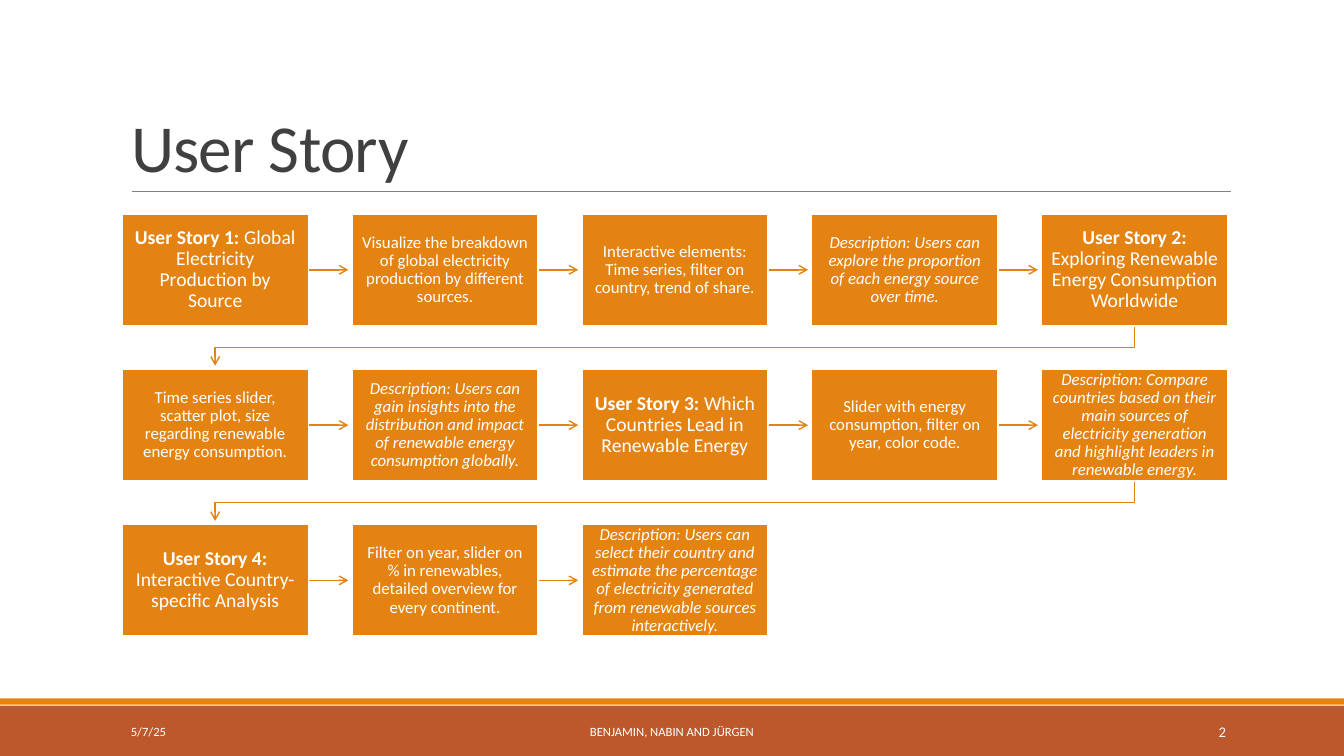
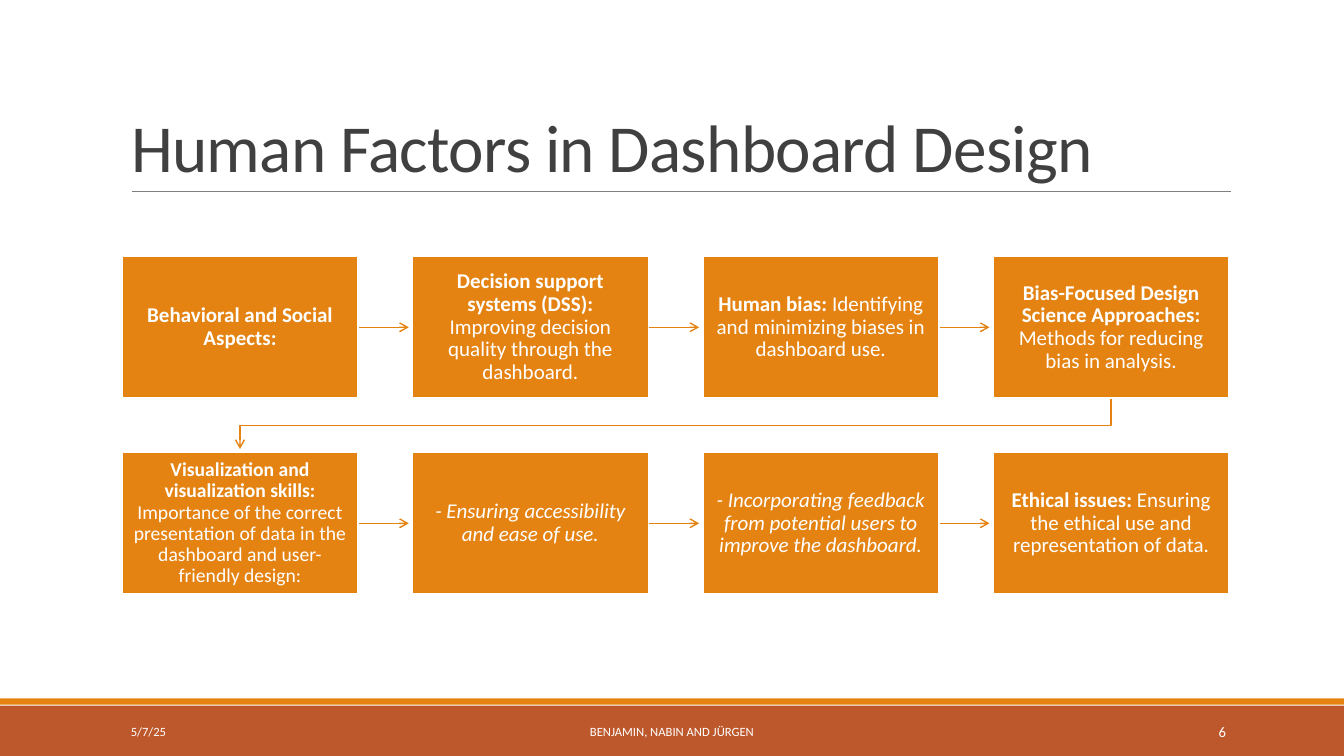
from collections import namedtuple

from lxml import etree
from pptx import Presentation
from pptx import util as u
from pptx.dml.color import RGBColor
from pptx.enum import shapes, text
from pptx.oxml import ns

Pt = u.Pt
ORANGE = RGBColor(0xE4, 0x83, 0x12)
RUST = RGBColor(0xBD, 0x58, 0x2C)
GRAY = RGBColor(0x80, 0x80, 0x80)
CHARCOAL = RGBColor(0x40, 0x40, 0x40)
WHITE = RGBColor(0xFF, 0xFF, 0xFF)

Step = namedtuple("Step", "text size lead italic", defaults=("", False))
Grid = namedtuple("Grid", "columns left top width height pitch_x pitch_y inset_x inset_y")

STORY_GRID = Grid(5, 87.1, 152.8, 133.2, 79.9, 164.2, 110.9, 6.5, 7)
STORY_STEPS = [
    Step("Global Electricity Production by Source", 14, "User Story 1: "),
    Step("Visualize the breakdown of global electricity production by different sources.", 12),
    Step("Interactive elements: Time series, filter on country, trend of share.", 12),
    Step("Description: Users can explore the proportion of each energy source over time.",
         12, italic=True),
    Step("Exploring Renewable Energy Consumption Worldwide", 14, "User Story 2: "),
    Step("Time series slider, scatter plot, size regarding renewable energy consumption.", 12),
    Step("Description: Users can gain insights into the distribution and impact of "
         "renewable energy consumption globally.", 12, italic=True),
    Step("Which Countries Lead in Renewable Energy", 14, "User Story 3: "),
    Step("Slider with energy consumption, filter on year, color code.", 12),
    Step("Description: Compare countries based on their main sources of electricity "
         "generation and highlight leaders in renewable energy.", 12, italic=True),
    Step("Interactive Country-specific Analysis", 14, "User Story 4: "),
    Step("Filter on year, slider on % in renewables, detailed overview for every continent.", 12),
    Step("Description: Users can select their country and estimate the percentage of "
         "electricity generated from renewable sources interactively.", 12, italic=True),
]

FACTOR_GRID = Grid(4, 87.1, 183.2, 168.7, 101.2, 207.4, 140, 8, 8.6)
FACTOR_STEPS = [
    Step("", 15, "Behavioral and Social Aspects:"),
    Step("Improving decision quality through the dashboard.", 15,
         "Decision support systems (DSS): "),
    Step("Identifying and minimizing biases in dashboard use.", 15, "Human bias: "),
    Step("Methods for reducing bias in analysis.", 15,
         "Bias-Focused Design Science Approaches: "),
    Step("Importance of the correct presentation of data in the dashboard and "
         "user-friendly design:", 14, "Visualization and visualization skills: "),
    Step("- Ensuring accessibility and ease of use.", 15, italic=True),
    Step("- Incorporating feedback from potential users to improve the dashboard.",
         15, italic=True),
    Step("Ensuring the ethical use and representation of data.", 15, "Ethical issues: "),
]


class Slides:
    """Builds slides in one shared style."""

    font = "Calibri"
    arrow_clearance = 2.5

    def __init__(self):
        self.deck = Presentation()
        self.deck.slide_width, self.deck.slide_height = Pt(960), Pt(540)
        self.page = None

    def start(self, title, number):
        self.page = self.deck.slides.add_slide(self.deck.slide_layouts[5])
        self.band(504, 36, RUST)
        self.band(498.8, 4.6, ORANGE)
        self.line(94.3, 136.8, 879.1, 136.8, GRAY, 0.5)
        self.title(title)
        self.label("5/7/25", 86.4, 194.4, 9, text.PP_ALIGN.LEFT)
        self.label("BENJAMIN, NABIN AND JÜRGEN", 290.2, 379.4, 9, text.PP_ALIGN.CENTER)
        self.label(number, 779.8, 103, 10.5, text.PP_ALIGN.RIGHT)

    def style(self, para, size, color, align):
        para.alignment = align
        para.font.name = self.font
        para.font.size = Pt(size)
        para.font.color.rgb = color

    def title(self, wording):
        box = self.page.shapes.title
        box.left, box.top, box.width, box.height = Pt(86.4), Pt(22.3), Pt(792), Pt(114.5)
        frame = box.text_frame
        frame.auto_size = text.MSO_AUTO_SIZE.NONE
        frame.vertical_anchor = text.MSO_ANCHOR.BOTTOM
        para = frame.paragraphs[0]
        para.line_spacing = 0.85
        self.style(para, 48, CHARCOAL, text.PP_ALIGN.LEFT)
        span = para.add_run()
        span.text = wording
        span._r.get_or_add_rPr().set("spc", "-50")

    def label(self, wording, left, width, size, align):
        box = self.page.shapes.add_textbox(Pt(left), Pt(508.3), Pt(width), Pt(28.8))
        frame = box.text_frame
        frame.word_wrap = True
        frame.vertical_anchor = text.MSO_ANCHOR.MIDDLE
        frame.text = wording
        self.style(frame.paragraphs[0], size, WHITE, align)

    def rectangle(self, left, top, width, height, color):
        box = self.page.shapes.add_shape(
            shapes.MSO_SHAPE.RECTANGLE, Pt(left), Pt(top), Pt(width), Pt(height))
        box.shadow.inherit = False
        box.fill.solid()
        box.fill.fore_color.rgb = color
        return box

    def band(self, top, height, color):
        self.rectangle(0, top, 960, height, color).line.fill.background()

    def line(self, x1, y1, x2, y2, color, weight):
        link = self.page.shapes.add_connector(
            shapes.MSO_CONNECTOR.STRAIGHT, Pt(x1), Pt(y1), Pt(x2), Pt(y2))
        link.line.color.rgb = color
        link.line.width = Pt(weight)
        etree.SubElement(link._element.spPr, ns.qn("a:effectLst"))
        return link

    def arrowhead(self, link):
        etree.SubElement(link.line._get_or_add_ln(), ns.qn("a:tailEnd"), type="arrow")

    def arrow(self, x1, x2, y):
        self.arrowhead(self.line(x1, y, x2, y, ORANGE, 1))

    def return_arrow(self, x1, x2, top, gap):
        points = [(x1, top + gap / 2), (x2, top + gap / 2),
                  (x2, top + gap - self.arrow_clearance)]
        outline = self.page.shapes.build_freeform(Pt(x1), Pt(top))
        outline.add_line_segments([(Pt(x), Pt(y)) for x, y in points], close=False)
        link = outline.convert_to_shape()
        link.shadow.inherit = False
        link.fill.background()
        link.line.color.rgb = ORANGE
        link.line.width = Pt(1)
        self.arrowhead(link)

    def step(self, step, left, top, grid):
        box = self.rectangle(left, top, grid.width, grid.height, ORANGE)
        box.line.color.rgb = WHITE
        box.line.width = Pt(1.25)
        frame = box.text_frame
        frame.word_wrap = True
        frame.vertical_anchor = text.MSO_ANCHOR.MIDDLE
        frame.margin_left = frame.margin_right = Pt(grid.inset_x)
        frame.margin_top = frame.margin_bottom = Pt(grid.inset_y)
        para = frame.paragraphs[0]
        para.line_spacing = 0.9
        self.style(para, step.size, WHITE, text.PP_ALIGN.CENTER)
        para.font.italic = step.italic
        for wording, bold in ((step.lead, True), (step.text, False)):
            if wording:
                span = para.add_run()
                span.text = wording
                span.font.bold = bold

    def flow(self, steps, grid):
        gap_x, gap_y = grid.pitch_x - grid.width, grid.pitch_y - grid.height
        for index, step in enumerate(steps):
            row, column = divmod(index, grid.columns)
            left = grid.left + column * grid.pitch_x
            top = grid.top + row * grid.pitch_y
            right, center = left + grid.width, left + grid.width / 2
            if index < len(steps) - 1:
                if column < grid.columns - 1:
                    self.arrow(right, right + gap_x - self.arrow_clearance,
                               top + grid.height / 2)
                else:
                    self.return_arrow(center, grid.left + grid.width / 2,
                                      top + grid.height, gap_y)
            self.step(step, left, top, grid)


def main():
    slides = Slides()
    slides.start("User Story", "2")
    slides.flow(STORY_STEPS, STORY_GRID)
    slides.start("Human Factors in Dashboard Design", "6")
    slides.flow(FACTOR_STEPS, FACTOR_GRID)
    slides.deck.save("out.pptx")


if __name__ == "__main__":
    main()
